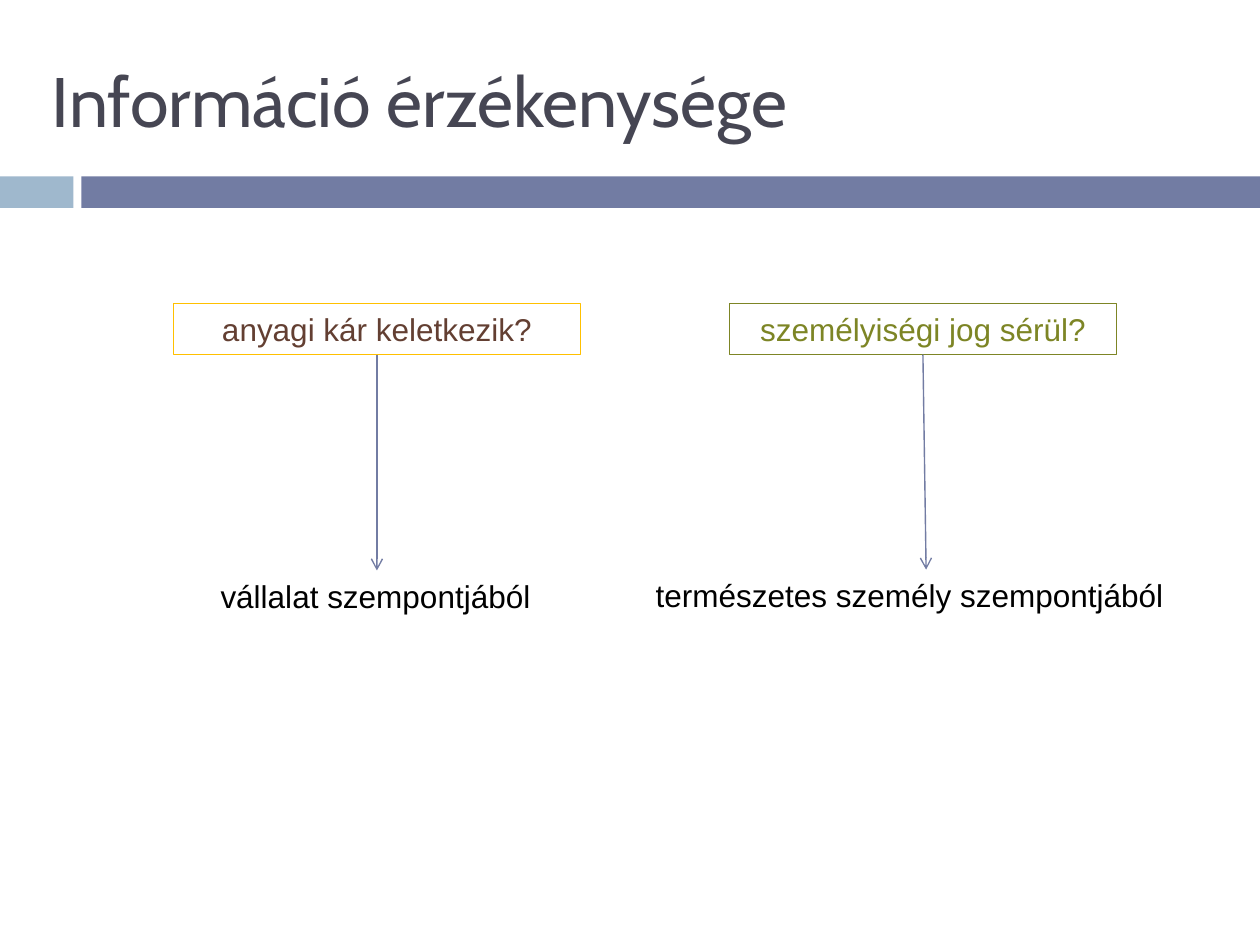
from lxml.etree import SubElement
from pptx import Presentation
from pptx.dml.color import RGBColor
from pptx.enum.shapes import MSO_CONNECTOR, MSO_SHAPE
from pptx.enum.text import MSO_ANCHOR, PP_ALIGN
from pptx.oxml.ns import qn
from pptx.util import Pt

TITLE = "Információ érzékenysége"
BANDS = [(0, 42, "9FB8CD"), (46.5, 673.5, "727CA3")]  # left, width, fill
BAND_TOP, BAND_HEIGHT = 100.8, 18
# Question box, arrow end and viewpoint label of each column
COLUMNS = [
    dict(question="anyagi kár keletkezik?", box=(99.1, 232.6), line="FFC000",
         color="633F32", tip=(215.4, 326), viewpoint="vállalat szempontjából",
         label=(118.9, 193)),
    dict(question="személyiségi jog sérül?", box=(416.8, 221.2), line="7D8525",
         color="7D8525", tip=(529.2, 325.5),
         viewpoint="természetes személy szempontjából", label=(367.6, 323.3)),
]
BOX_TOP, ROW_HEIGHT = 173.5, 29.1
ARROW_COLOR = "727CA3"


def rgb(value):
    return RGBColor.from_string(value)


def write(sp, text, color, size=18, font="Arial", align=PP_ALIGN.LEFT,
          anchor=MSO_ANCHOR.TOP):
    tf = sp.text_frame
    tf.word_wrap = True
    tf.vertical_anchor = anchor
    p = tf.paragraphs[0]
    p.alignment = align
    r = p.add_run()
    r.text = text
    for name, value in dict(size=Pt(size), name=font, bold=False).items():
        setattr(r.font, name, value)
    r.font.color.rgb = rgb(color)


def add_rect(s, left, top, width, height, fill=None, line=None):
    sp = s.shapes.add_shape(MSO_SHAPE.RECTANGLE, Pt(left), Pt(top), Pt(width), Pt(height))
    sp.shadow.inherit = False
    if fill:
        sp.fill.solid()
        sp.fill.fore_color.rgb = rgb(fill)
    else:
        sp.fill.background()
    if line:
        sp.line.color.rgb = rgb(line)
        sp.line.width = Pt(0.75)
    else:
        sp.line.fill.background()
    return sp


def add_arrow(s, start, end):
    line = s.shapes.add_connector(MSO_CONNECTOR.STRAIGHT, *map(Pt, start + end))
    line.line.color.rgb = rgb(ARROW_COLOR)
    line.line.width = Pt(0.79)
    SubElement(line.line._get_or_add_ln(), qn("a:tailEnd"), type="arrow")
    SubElement(line._element.spPr, qn("a:effectLst"))


def main():
    prs = Presentation()
    prs.slide_width, prs.slide_height = Pt(720), Pt(540)
    s = prs.slides.add_slide(prs.slide_layouts[5])

    for left, width, fill in BANDS:
        add_rect(s, left, BAND_TOP, width, BAND_HEIGHT, fill=fill)

    title = s.shapes.title
    for name, value in dict(left=22.5, top=18, width=667.5, height=78).items():
        setattr(title, name, Pt(value))
    write(title, TITLE, "464653", 40, "Cabin", anchor=MSO_ANCHOR.MIDDLE)

    for col in COLUMNS:
        left, width = col["box"]
        box = add_rect(s, left, BOX_TOP, width, ROW_HEIGHT, line=col["line"])
        write(box, col["question"], col["color"], align=PP_ALIGN.CENTER)
        add_arrow(s, (left + width / 2, BOX_TOP + ROW_HEIGHT), col["tip"])
        left, width = col["label"]
        label = s.shapes.add_textbox(Pt(left), Pt(col["tip"][1]), Pt(width), Pt(ROW_HEIGHT))
        write(label, col["viewpoint"], "000000")

    prs.save("out.pptx")


if __name__ == "__main__":
    main()
